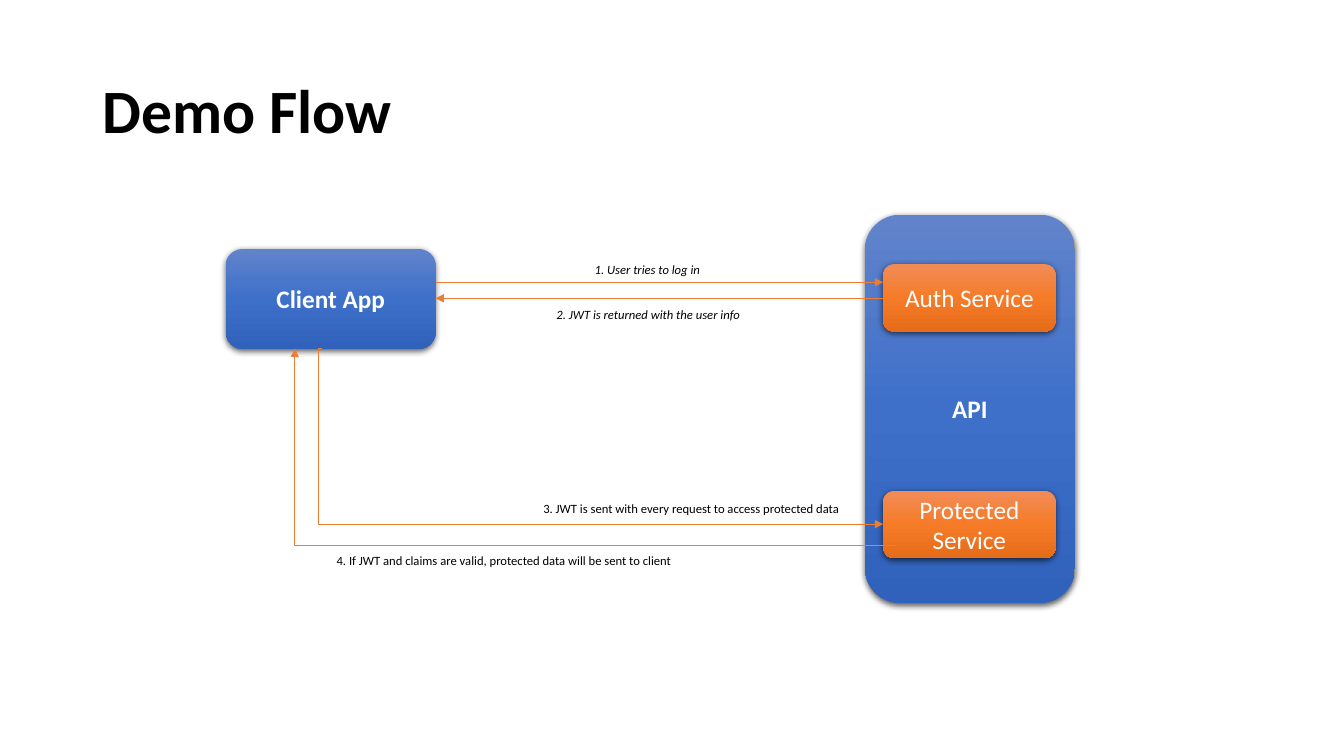
import dataclasses
import typing

import lxml.etree
import pptx
import pptx.dml.color
import pptx.enum.shapes
import pptx.enum.text
import pptx.oxml
import pptx.oxml.ns
import pptx.util

Inches = pptx.util.Inches
Pt = pptx.util.Pt
qn = pptx.oxml.ns.qn
RGB = pptx.dml.color.RGBColor.from_string
ANCHOR = pptx.enum.text.MSO_ANCHOR
ALIGN = pptx.enum.text.PP_ALIGN
CONNECTOR = pptx.enum.shapes.MSO_CONNECTOR


@dataclasses.dataclass(frozen=True)
class Theme:
    font: str = "Calibri"
    text: str = "000000"
    box_text: str = "FFFFFF"
    arrow: str = "ED7D31"
    shadow: str = "000000"
    blue: tuple[str, ...] = ("6183CB", "3E70CA", "3062BB")
    orange: tuple[str, ...] = ("F18C57", "F67B28", "E56C19")
    title_size: int = 44
    box_size: int = 18
    label_size: int = 9
    arrow_width: float = 0.5


THEME = Theme()


class Box(typing.NamedTuple):
    text: str
    left: float
    top: float
    width: float
    height: float
    gradient: tuple[str, ...]
    bold: bool = False


class Label(typing.NamedTuple):
    text: str
    left: float
    top: float
    width: float
    italic: bool = False


class Arrow(typing.NamedTuple):
    start: tuple[float, float]
    end: tuple[float, float]
    bend: float | None = None


def write(sp, text: str, size: int, color: str, bold: bool = False, italic: bool = False):
    tf = sp.text_frame
    tf.word_wrap = True
    tf.text = text
    p = tf.paragraphs[0]
    f = p.runs[0].font
    f.name, f.size, f.bold, f.italic = THEME.font, Pt(size), bold, italic
    f.color.rgb = RGB(color)
    return tf


def set_gradient(sp, colors: tuple[str, ...]) -> None:
    sp.fill.gradient()
    sp.fill.gradient_angle = 270
    stops = sp._element.spPr.find(qn("a:gradFill")).find(qn("a:gsLst"))
    for stop in list(stops):
        stops.remove(stop)
    for i, color in enumerate(colors):
        pos = 100000 * i // (len(colors) - 1)
        stop = lxml.etree.SubElement(stops, qn("a:gs"), pos=str(pos))
        lxml.etree.SubElement(stop, qn("a:srgbClr"), val=color)


def set_shadow(sp) -> None:
    sp.shadow.inherit = False
    effects = sp._element.spPr.find(qn("a:effectLst"))
    outer = lxml.etree.SubElement(
        effects, qn("a:outerShdw"), blurRad=str(Pt(4.5)), dist=str(Pt(1.5)),
        dir="5400000", algn="ctr", rotWithShape="0")
    color = lxml.etree.SubElement(outer, qn("a:srgbClr"), val=THEME.shadow)
    lxml.etree.SubElement(color, qn("a:alpha"), val="63000")


def add_title(shapes, text: str) -> None:
    sp = shapes.add_textbox(Inches(0.92), Inches(0.4), Inches(11.5), Inches(1.45))
    tf = write(sp, text, THEME.title_size, THEME.text, bold=True)
    tf.vertical_anchor = ANCHOR.MIDDLE
    tf.paragraphs[0].line_spacing = 0.9


def add_box(shapes, box: Box) -> None:
    sp = shapes.add_shape(
        pptx.enum.shapes.MSO_SHAPE.ROUNDED_RECTANGLE,
        Inches(box.left), Inches(box.top), Inches(box.width), Inches(box.height))
    set_gradient(sp, box.gradient)
    sp.line.fill.background()
    set_shadow(sp)
    tf = write(sp, box.text, THEME.box_size, THEME.box_text, bold=box.bold)
    tf.vertical_anchor = ANCHOR.MIDDLE
    tf.paragraphs[0].alignment = ALIGN.CENTER


def add_label(shapes, label: Label) -> None:
    sp = shapes.add_textbox(
        Inches(label.left), Inches(label.top), Inches(label.width), Inches(0.25))
    tf = write(sp, label.text, THEME.label_size, THEME.text, italic=label.italic)
    tf.auto_size = pptx.enum.text.MSO_AUTO_SIZE.SHAPE_TO_FIT_TEXT


def add_arrow(shapes, arrow: Arrow) -> None:
    kind = CONNECTOR.STRAIGHT if arrow.bend is None else CONNECTOR.ELBOW
    sp = shapes.add_connector(kind, *(Inches(v) for v in arrow.start + arrow.end))
    sp.line.color.rgb = RGB(THEME.arrow)
    sp.line.width = Pt(THEME.arrow_width)
    spPr = sp._element.spPr
    lxml.etree.SubElement(spPr.find(qn("a:ln")), qn("a:tailEnd"), type="triangle")
    lxml.etree.SubElement(spPr, qn("a:effectLst"))
    if arrow.bend is not None:
        guides = spPr.find(qn("a:prstGeom")).get_or_add_avLst()
        value = round(arrow.bend * 100000)
        lxml.etree.SubElement(guides, qn("a:gd"), name="adj1", fmla=f"val {value}")


CLIENT_RIGHT, CLIENT_BOTTOM = 4.32, 3.46
SERVICE_LEFT = 8.76

BOXES = (
    Box("Client App", 2.24, 2.47, 2.08, 0.99, THEME.blue, bold=True),
    Box("API", 8.58, 2.13, 2.08, 3.85, THEME.blue, bold=True),
    Box("Auth Service", SERVICE_LEFT, 2.62, 1.71, 0.67, THEME.orange),
    Box("Protected Service", SERVICE_LEFT, 4.87, 1.71, 0.67, THEME.orange),
)
ARROWS = (
    Arrow((CLIENT_RIGHT, 2.8), (SERVICE_LEFT, 2.8)),
    Arrow((SERVICE_LEFT, 2.96), (CLIENT_RIGHT, 2.96)),
    Arrow((3.19, CLIENT_BOTTOM), (SERVICE_LEFT, 5.2), bend=-0.006),
    Arrow((8.9, 5.41), (2.93, CLIENT_BOTTOM), bend=1.001),
)
LABELS = (
    Label("1. User tries to log in", 5.8, 2.55, 1.37, italic=True),
    Label("2. JWT is returned with the user info", 5.42, 3, 2.08, italic=True),
    Label("3. JWT is sent with every request to access protected data", 5.29, 4.92, 3.34),
    Label("4. If JWT and claims are valid, protected data will be sent to client",
          3.24, 5.44, 3.65),
)

prs = pptx.Presentation()
prs.slide_width, prs.slide_height = Inches(13.33), Inches(7.5)
shapes = prs.slides.add_slide(prs.slide_layouts[6]).shapes

add_title(shapes, "Demo Flow")
for box in BOXES:
    add_box(shapes, box)
for arrow, label in zip(ARROWS, LABELS):
    add_arrow(shapes, arrow)
    add_label(shapes, label)

prs.save("out.pptx")
